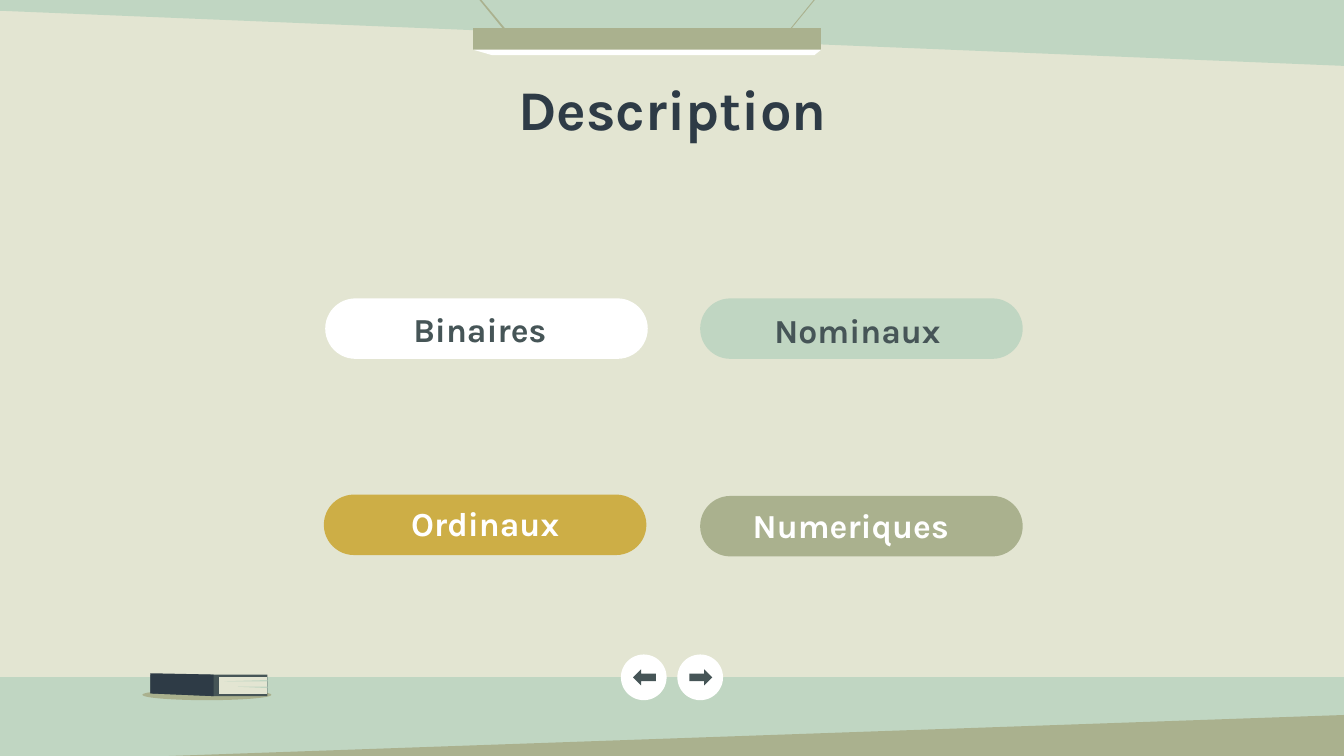
from typing import NamedTuple

from pptx import Presentation
from pptx.dml.color import RGBColor
from pptx.enum.shapes import MSO_SHAPE
from pptx.enum.text import MSO_ANCHOR, PP_ALIGN
from pptx.util import Inches, Pt

FONT = "Karla"
WIDTH = 10
HEIGHT = WIDTH * 9 / 16
CREAM, MINT, OLIVE, GOLD = "E3E5D2", "C0D6C2", "AAB18E", "CDAE46"
WHITE, SLATE, NAVY = "FFFFFF", "465557", "2E3B46"


class Box(NamedTuple):
    left: float
    top: float
    width: float
    height: float


class Poly(NamedTuple):
    points: list[tuple[float, float]]
    color: str


class Pill(NamedTuple):
    text: str
    box: Box
    label: Box
    fill: str
    ink: str


def paint(fill, color: str) -> None:
    fill.solid()
    fill.fore_color.rgb = RGBColor.from_string(color)


def finish(shape, color: str) -> None:
    """Give the shape a flat fill with no line or shadow."""
    paint(shape.fill, color)
    shape.line.fill.background()
    shape.shadow.inherit = False


def add_poly(slide, poly: Poly) -> None:
    start, *rest = [(Inches(x), Inches(y)) for x, y in poly.points]
    pen = slide.shapes.build_freeform(*start)
    pen.add_line_segments(rest, close=True)
    finish(pen.convert_to_shape(), poly.color)


def add_form(slide, kind: MSO_SHAPE, box: Box, color: str, turn: float = 0):
    shape = slide.shapes.add_shape(kind, *map(Inches, box))
    shape.rotation = turn
    finish(shape, color)
    return shape


def add_text(slide, text: str, box: Box, size: float, color: str) -> None:
    frame = slide.shapes.add_textbox(*map(Inches, box)).text_frame
    frame.word_wrap = True
    frame.vertical_anchor = MSO_ANCHOR.MIDDLE
    frame.margin_left = frame.margin_right = Inches(0.1)
    frame.margin_top = frame.margin_bottom = Inches(0.1)
    line = frame.paragraphs[0]
    line.text = text
    line.alignment = PP_ALIGN.CENTER
    line.font.name = FONT
    line.font.size = Pt(size)
    line.font.bold = True
    line.font.color.rgb = RGBColor.from_string(color)


def add_button(slide, left: float, turn: float) -> None:
    add_form(slide, MSO_SHAPE.OVAL, Box(left, 4.87, 0.34, 0.34), WHITE, turn)
    arrow = add_form(slide, MSO_SHAPE.RIGHT_ARROW,
                     Box(left + 0.09, 4.98, 0.17, 0.12), SLATE, turn)
    arrow.adjustments[0] = 0.46


FLOOR = Poly([(0, 5.04), (0, 5.66), (10, 5.66), (10, 5.04)], MINT)
ROOM = [
    Poly([(0, 0), (0, 0.08), (10, 0.49), (10, 0)], MINT),
    # Hanging lamp: two wires, body, light
    Poly([(3.3, -0.34), (3.29, -0.34), (3.78, 0.26), (3.79, 0.25)], OLIVE),
    Poly([(6.33, -0.34), (5.85, 0.25), (5.85, 0.26), (6.34, -0.34)], OLIVE),
    Poly([(3.52, 0.21), (3.52, 0.37), (6.11, 0.37), (6.11, 0.21)], OLIVE),
    Poly([(3.52, 0.37), (3.66, 0.41), (6.06, 0.41), (6.11, 0.37)], WHITE),
]
BOOK = [
    Poly([(1.12, 5.02), (1.12, 5.16), (1.59, 5.18), (1.99, 5.18),
          (1.99, 5.02)], SLATE),
    Poly([(1.12, 5.01), (1.12, 5.16), (1.59, 5.18), (1.59, 5.02)], NAVY),
    Poly([(1.63, 5.04), (1.63, 5.16), (1.99, 5.16), (1.99, 5.04)], CREAM),
    Poly([(1.99, 5.06), (1.67, 5.07), (1.99, 5.07)], MINT),
    Poly([(1.77, 5.11), (1.99, 5.12), (1.99, 5.11)], MINT),
]
PILLS = [
    Pill("Numeriques", Box(5.21, 3.69, 2.4, 0.45),
         Box(5.29, 3.73, 2.08, 0.35), OLIVE, WHITE),
    Pill("Nominaux", Box(5.21, 2.22, 2.4, 0.45),
         Box(5.34, 2.28, 2.08, 0.35), MINT, SLATE),
    Pill("Ordinaux", Box(2.41, 3.68, 2.4, 0.45),
         Box(2.57, 3.72, 2.08, 0.35), GOLD, WHITE),
    Pill("Binaires", Box(2.42, 2.22, 2.4, 0.45),
         Box(2.53, 2.27, 2.08, 0.35), WHITE, SLATE),
]


def main() -> None:
    deck = Presentation()
    deck.slide_width, deck.slide_height = Inches(WIDTH), Inches(HEIGHT)
    slide = deck.slides.add_slide(deck.slide_layouts[6])
    paint(slide.background.fill, CREAM)

    add_poly(slide, FLOOR)
    ramp = add_form(slide, MSO_SHAPE.RIGHT_TRIANGLE,
                    Box(-0.03, 5.32, 10.03, 0.35), OLIVE)
    ramp._element.spPr.get_or_add_xfrm().set("flipH", "1")
    for poly in ROOM:
        add_poly(slide, poly)
    add_form(slide, MSO_SHAPE.OVAL, Box(1.06, 5.13, 0.96, 0.08), OLIVE)
    for poly in BOOK:
        add_poly(slide, poly)

    for pill in PILLS:
        shape = add_form(slide, MSO_SHAPE.ROUNDED_RECTANGLE,
                         pill.box, pill.fill)
        shape.adjustments[0] = 0.5
    add_text(slide, "Description", Box(0.79, 0.58, 8.43, 0.45), 30, NAVY)
    for pill in PILLS:
        add_text(slide, pill.text, pill.label, 18, pill.ink)

    add_button(slide, 5.04, 0)
    add_button(slide, 4.62, 180)
    deck.save("out.pptx")


if __name__ == "__main__":
    main()
